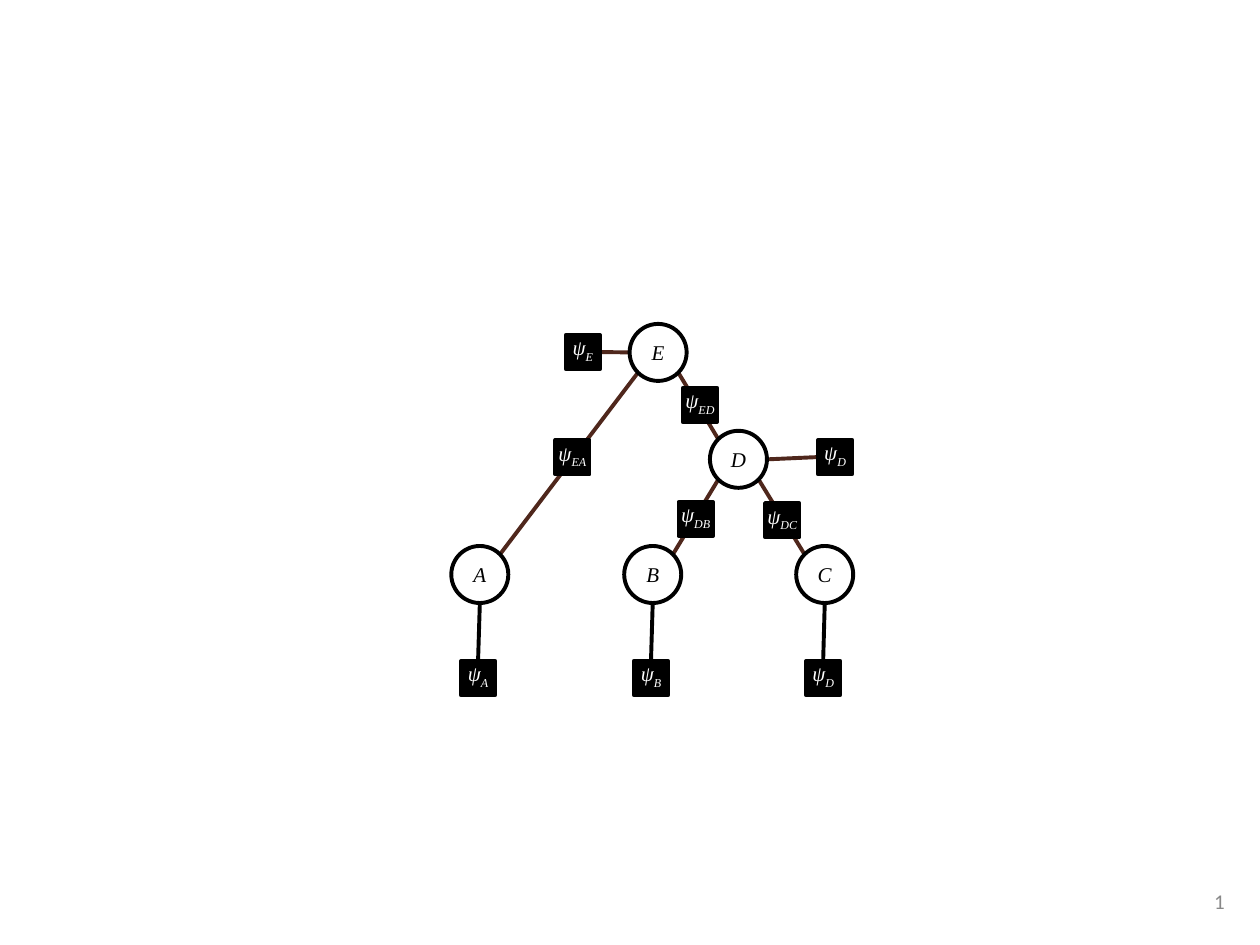
import math

import pptx
import pptx.dml.color
import pptx.enum.shapes
import pptx.enum.text
import pptx.oxml.ns
import pptx.util
from lxml import etree

Pt = pptx.util.Pt
SHAPE = pptx.enum.shapes.MSO_SHAPE
ALIGN = pptx.enum.text.PP_ALIGN
ANCHOR = pptx.enum.text.MSO_ANCHOR
BLACK, WHITE, BROWN, GREY = "000000", "FFFFFF", "4F271C", "888888"
DIAMETER, SIDE, STROKE = 32.6, 19.6, 2.25


def paint(fill, color):
    fill.solid()
    fill.fore_color.rgb = pptx.dml.color.RGBColor.from_string(color)


def write(shape, text, subscript="", color=BLACK, font="Times New Roman",
          italic=True, align=ALIGN.CENTER, anchor=ANCHOR.MIDDLE, margins=(0, 0),
          wrap=True):
    """Fill the shape with text, followed by an optional subscript."""
    frame = shape.text_frame
    frame.word_wrap = wrap
    frame.vertical_anchor = anchor
    frame.margin_left = frame.margin_right = Pt(margins[0])
    frame.margin_top = frame.margin_bottom = Pt(margins[1])
    paragraph = frame.paragraphs[0]
    paragraph.alignment = align
    for part, baseline in ((text, None), (subscript, "-25000")):
        if not part:
            continue
        run = paragraph.add_run()
        run.text = part
        run.font.size = Pt(12)
        run.font.name = font
        run.font.italic = italic
        paint(run.font.fill, color)
        if baseline:
            run._r.get_or_add_rPr().set("baseline", baseline)


deck = pptx.Presentation()
deck.slide_width, deck.slide_height = Pt(720), Pt(540)
slide = deck.slides.add_slide(deck.slide_layouts[6])

# Centres of the variables and factors
variables = {
    "A": (274.2, 328.3), "B": (373, 328.3), "C": (471.3, 328.3),
    "D": (422, 262.5), "E": (376.1, 201.4),
}
pair_factors = {
    "EA": (327.1, 261.3), "ED": (400, 231.4),
    "DB": (397.6, 296.6), "DC": (447, 297.3),
}
# Variable, subscript, centre of its single factor
single_factors = [
    ("A", "A", (273.2, 387.5)), ("B", "B", (372, 387.5)),
    ("C", "D", (470.4, 387.5)),
    ("E", "E", (333.1, 201.2)), ("D", "D", (477.2, 261.2)),
]

# Each line: start, end, colour
links = []
diagonal = DIAMETER / 2 * math.sqrt(0.5)
for parent, child in pair_factors:
    (x1, y1), (x2, y2) = variables[parent], variables[child]
    reach = math.copysign(diagonal, x2 - x1)
    links.append(((x1 + reach, y1 + diagonal), (x2 - reach, y2 - diagonal), BROWN))
for variable, _, (x2, y2) in single_factors:
    x1, y1 = variables[variable]
    if abs(x2 - x1) < DIAMETER:
        links.append(((x1, y1 + DIAMETER / 2), (x2, y2 - SIDE / 2), BLACK))
    else:
        side = math.copysign(1, x2 - x1)
        links.append(((x1 + side * DIAMETER / 2, y1), (x2 - side * SIDE / 2, y2), BROWN))

for start, end, color in links:
    link = slide.shapes.add_connector(
        pptx.enum.shapes.MSO_CONNECTOR.STRAIGHT, *(Pt(v) for v in start + end))
    paint(link.line.fill, color)
    link.line.width = Pt(STROKE)
    etree.SubElement(link._element.spPr, pptx.oxml.ns.qn("a:effectLst"))

# Each node: preset, size, centre, fill, text format
nodes = [(SHAPE.OVAL, DIAMETER, centre, WHITE, {"text": name})
         for name, centre in variables.items()]
factors = list(pair_factors.items()) + [(sub, centre) for _, sub, centre in single_factors]
nodes += [(SHAPE.RECTANGLE, SIDE, centre, BLACK,
           {"text": "ψ", "subscript": sub, "color": WHITE, "anchor": ANCHOR.TOP})
          for sub, centre in factors]

for preset, size, (x, y), color, label in nodes:
    node = slide.shapes.add_shape(
        preset, Pt(x - size / 2), Pt(y - size / 2), Pt(size), Pt(size))
    node.shadow.inherit = False
    paint(node.fill, color)
    paint(node.line.fill, BLACK)
    node.line.width = Pt(STROKE)
    write(node, **label)

page_number = slide.shapes.add_textbox(Pt(638.6), Pt(500.5), Pt(68.4), Pt(28.8))
write(page_number, "1", color=GREY, font="Calibri", italic=False,
      align=ALIGN.RIGHT, margins=(7.2, 3.6))

deck.save("out.pptx")
